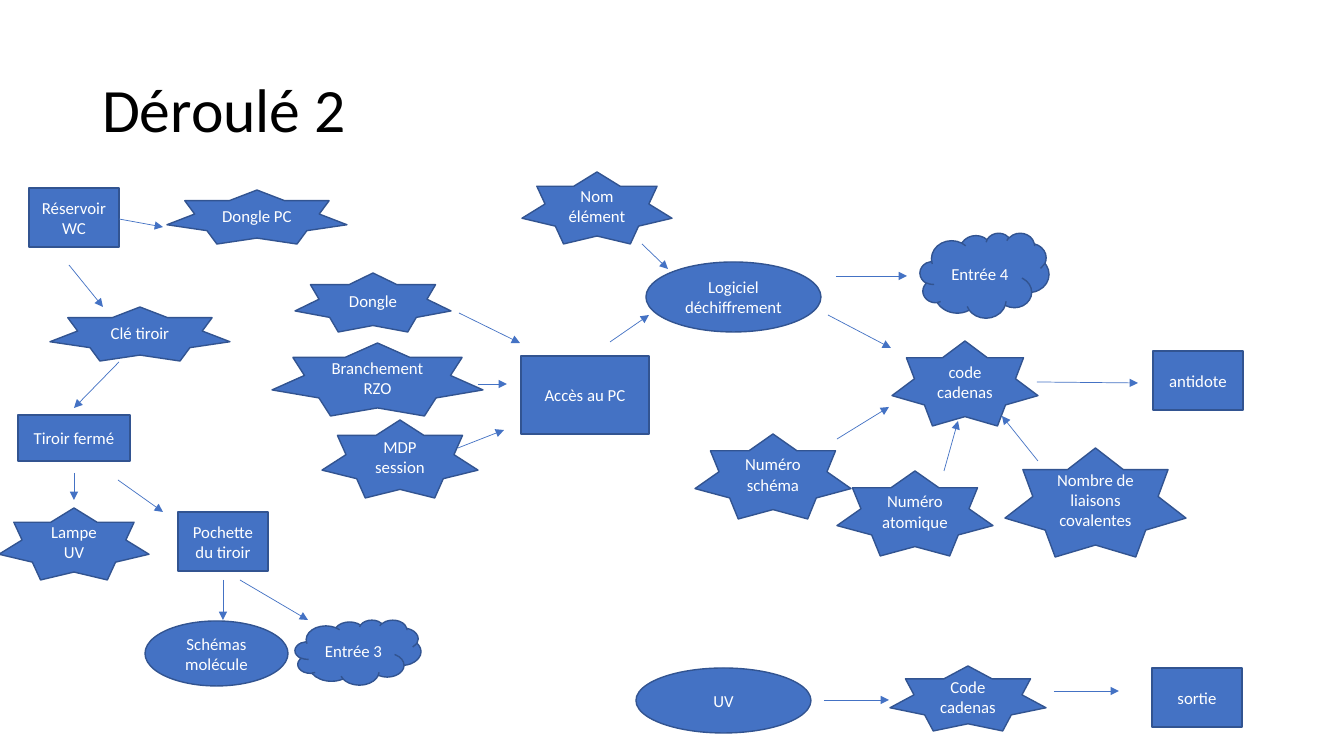
from dataclasses import dataclass

from lxml.etree import SubElement
from pptx import Presentation
from pptx.dml.color import RGBColor
from pptx.enum.shapes import MSO_CONNECTOR, MSO_SHAPE
from pptx.enum.text import MSO_ANCHOR, PP_ALIGN
from pptx.oxml.ns import qn
from pptx.slide import Slide
from pptx.text.text import TextFrame
from pptx.util import Length, Pt

SCALE = 914400 / 100.8


@dataclass(frozen=True)
class Theme:
    font: str = "Calibri"
    fill: RGBColor = RGBColor(0x44, 0x72, 0xC4)
    edge: RGBColor = RGBColor(0x32, 0x54, 0x91)
    light: RGBColor = RGBColor(0xFF, 0xFF, 0xFF)
    dark: RGBColor = RGBColor(0, 0, 0)
    head: Length = Pt(44)
    body: Length = Pt(12)
    border: Length = Pt(1)
    thin: Length = Pt(0.5)


@dataclass(frozen=True)
class Node:
    text: str
    kind: MSO_SHAPE
    left: int
    top: int
    width: int
    height: int


@dataclass(frozen=True)
class Arrow:
    x1: int
    y1: int
    x2: int
    y2: int


THEME = Theme()
BOX = MSO_SHAPE.RECTANGLE
STAR = MSO_SHAPE.STAR_7_POINT
OVAL = MSO_SHAPE.OVAL
CLOUD = MSO_SHAPE.CLOUD
SMALL = (90, 59)

NODES = [
    # Drawer branch
    Node("Réservoir WC", BOX, 29, 188, *SMALL),
    Node("Dongle PC", STAR, 167, 190, 180, 54),
    Node("Clé tiroir", STAR, 50, 307, 180, 54),
    Node("Tiroir fermé", BOX, 18, 415, 112, 46),
    Node("Lampe UV", STAR, -1, 508, 150, 72),
    Node("Pochette du tiroir", BOX, 178, 512, *SMALL),
    Node("Schémas molécule", OVAL, 145, 621, 143, 65),
    Node("Entrée 3", CLOUD, 295, 620, 126, 65),
    # Computer branch
    Node("Accès au PC", BOX, 521, 356, 128, 78),
    Node("MDP session", STAR, 322, 420, 156, 78),
    Node("Branchement RZO", STAR, 272, 343, 211, 73),
    Node("Dongle", STAR, 295, 273, 156, 59),
    Node("Nom élément", STAR, 522, 172, 150, 72),
    Node("Logiciel déchiffrement", OVAL, 646, 262, 175, 70),
    Node("Entrée 4", CLOUD, 920, 233, 129, 85),
    # Antidote lock
    Node("code cadenas", STAR, 892, 341, 146, 85),
    Node("Numéro schéma", STAR, 695, 434, 156, 85),
    Node("Numéro atomique", STAR, 837, 471, 156, 85),
    Node("Nombre de liaisons covalentes", STAR, 1005, 448, 181, 109),
    Node("antidote", BOX, 1153, 351, *SMALL),
    # Exit
    Node("UV", OVAL, 636, 668, 175, 65),
    Node("Code cadenas", STAR, 890, 666, 156, 65),
    Node("sortie", BOX, 1152, 668, *SMALL),
]

ARROWS = [
    # Drawer branch
    Arrow(119, 219, 163, 227),
    Arrow(69, 265, 103, 307),
    Arrow(119, 362, 74, 408),
    Arrow(74, 473, 74, 500),
    Arrow(118, 480, 163, 512),
    Arrow(223, 580, 223, 620),
    Arrow(240, 580, 308, 620),
    # Computer branch
    Arrow(459, 313, 520, 343),
    Arrow(478, 384, 507, 384),
    Arrow(458, 448, 504, 430),
    Arrow(610, 342, 649, 315),
    Arrow(642, 244, 668, 269),
    Arrow(836, 276, 907, 276),
    # Antidote lock
    Arrow(828, 315, 891, 348),
    Arrow(837, 439, 889, 407),
    Arrow(944, 471, 958, 421),
    Arrow(1038, 461, 1002, 416),
    Arrow(1037, 382, 1138, 383),
    # Exit
    Arrow(824, 700, 889, 700),
    Arrow(1054, 691, 1119, 691),
]


def px(value: int) -> Length:
    return Length(round(value * SCALE))


def write(frame: TextFrame, text: str, size: Length, color: RGBColor,
          align: PP_ALIGN) -> None:
    frame.text = text
    frame.word_wrap = True
    frame.vertical_anchor = MSO_ANCHOR.MIDDLE
    line = frame.paragraphs[0]
    line.alignment = align
    font = line.runs[0].font
    font.name, font.size, font.color.rgb = THEME.font, size, color


def draw_title(slide: Slide, text: str) -> None:
    title = slide.shapes.title
    title.left, title.top = px(92), px(40)
    title.width, title.height = px(1159), px(146)
    write(title.text_frame, text, THEME.head, THEME.dark, PP_ALIGN.LEFT)
    title.text_frame.paragraphs[0].line_spacing = 0.9


def draw_node(slide: Slide, node: Node) -> None:
    shape = slide.shapes.add_shape(node.kind, px(node.left), px(node.top),
                                   px(node.width), px(node.height))
    shape.shadow.inherit = False
    shape.fill.solid()
    shape.fill.fore_color.rgb = THEME.fill
    shape.line.color.rgb = THEME.edge
    shape.line.width = THEME.border
    write(shape.text_frame, node.text, THEME.body, THEME.light,
          PP_ALIGN.CENTER)


def draw_arrow(slide: Slide, arrow: Arrow) -> None:
    link = slide.shapes.add_connector(
        MSO_CONNECTOR.STRAIGHT, px(arrow.x1), px(arrow.y1),
        px(arrow.x2), px(arrow.y2))
    link.line.color.rgb = THEME.fill
    link.line.width = THEME.thin
    SubElement(link.line._get_or_add_ln(), qn("a:tailEnd"), type="triangle")
    SubElement(link._element.spPr, qn("a:effectLst"))


deck = Presentation()
deck.slide_width, deck.slide_height = px(1344), px(756)
slide = deck.slides.add_slide(deck.slide_layouts.get_by_name("Title Only"))

draw_title(slide, "Déroulé 2")
for node in NODES:
    draw_node(slide, node)
for arrow in ARROWS:
    draw_arrow(slide, arrow)

deck.save("out.pptx")
